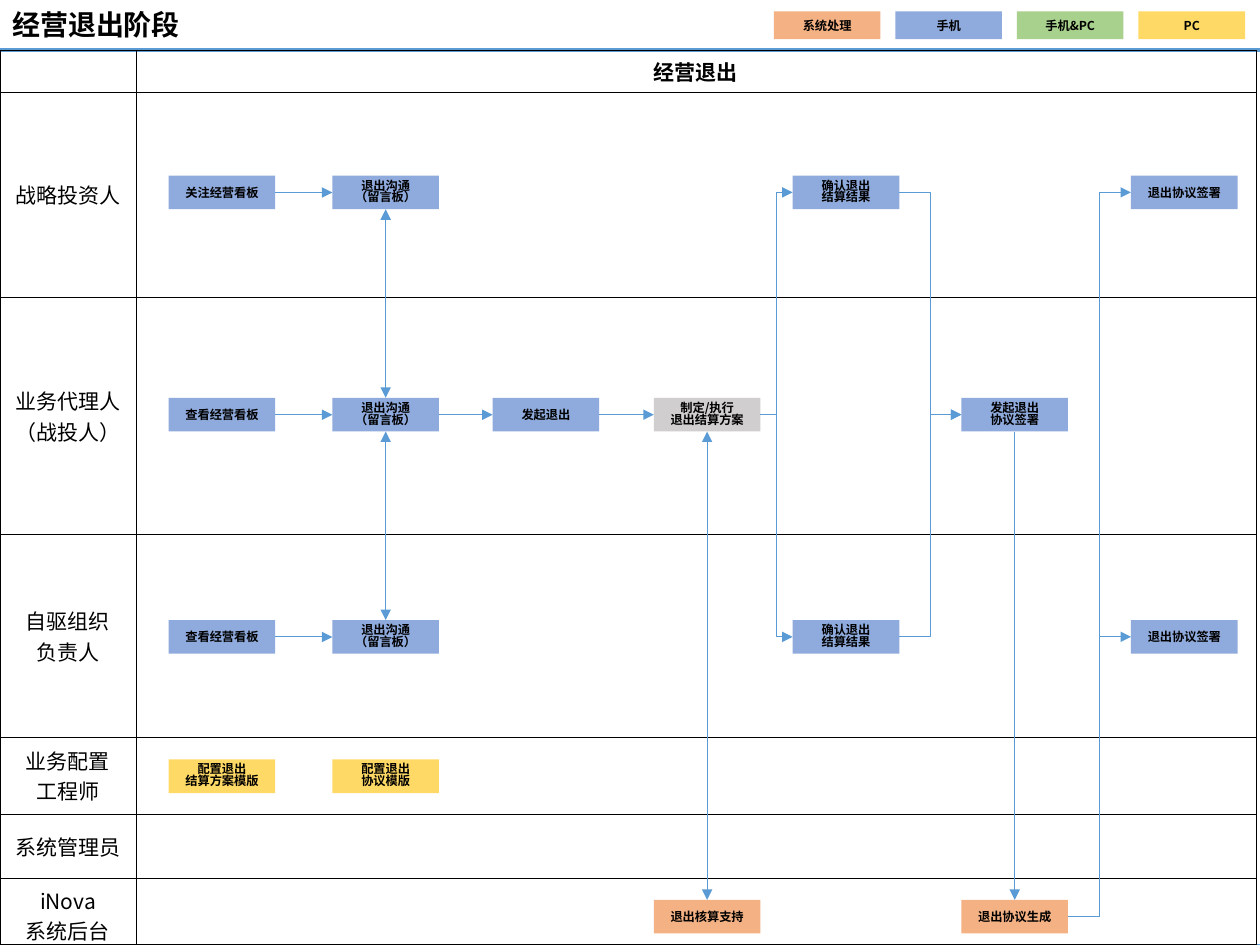
from lxml.etree import SubElement
from pptx import Presentation
from pptx.dml.color import RGBColor
from pptx.enum.shapes import MSO_CONNECTOR, MSO_SHAPE
from pptx.enum.text import MSO_ANCHOR, PP_ALIGN
from pptx.oxml.ns import qn
from pptx.util import Cm, Pt

FONT = "Noto Sans CJK SC"
BLACK = RGBColor(0x00, 0x00, 0x00)
BLUE = RGBColor(0x8F, 0xAA, 0xDC)
GREEN = RGBColor(0xA9, 0xD1, 0x8E)
YELLOW = RGBColor(0xFF, 0xD9, 0x66)
ORANGE = RGBColor(0xF4, 0xB1, 0x83)
GRAY = RGBColor(0xD0, 0xCE, 0xCE)
LINE = RGBColor(0x5B, 0x9B, 0xD5)


def write(frame, text, size, bold, align=PP_ALIGN.CENTER, space=None):
    frame.text = text
    for par in frame.paragraphs:
        par.alignment = align
        par.line_spacing = space
        for run in par.runs:
            run.font.size = Pt(size)
            run.font.bold = bold
            run.font.color.rgb = BLACK
            run.font.name = FONT
            SubElement(run.font._element, qn("a:ea"), typeface=FONT)
        if not par.runs:
            SubElement(par._p, qn("a:endParaRPr"), sz=str(size * 100))


def add_box(text, left, top, high, color):
    box = slide.shapes.add_shape(
        MSO_SHAPE.RECTANGLE, Cm(left), Cm(top), Cm(2.15), Cm(high))
    box.shadow.inherit = False
    box.fill.solid()
    box.fill.fore_color.rgb = color
    box.line.fill.background()
    frame = box.text_frame
    frame.margin_left = frame.margin_right = 0
    frame.margin_top = frame.margin_bottom = 0
    frame.word_wrap = True
    frame.vertical_anchor = MSO_ANCHOR.MIDDLE
    write(frame, text, 7, True, space=0.8 if "\n" in text else None)
    return box


deck = Presentation()
deck.slide_width = Cm(25.4)
deck.slide_height = Cm(19.05)
slide = deck.slides.add_slide(deck.slide_layouts[6])

title = slide.shapes.add_textbox(0, Cm(0.03), Cm(5.3), Cm(1))
title.text_frame.word_wrap = True
title.text_frame.vertical_anchor = MSO_ANCHOR.MIDDLE
write(title.text_frame, "经营退出阶段", 16, True, PP_ALIGN.LEFT, 0.9)

lanes = [
    ("", 0.84), ("战略投资人", 4.14), ("业务代理人\n（战投人）", 4.78),
    ("自驱组织\n负责人", 4.09), ("业务配置\n工程师", 1.55),
    ("系统管理员", 1.3), ("iNova\n系统后台", 1.33),
]
tables = [
    (-0.05, [25.48], [18.06], LINE, 2.25),
    (0, [2.74, 22.58], [high for name, high in lanes], BLACK, 0.25),
]
for left, wides, highs, color, width in tables:
    grid = slide.shapes.add_table(
        len(highs), len(wides), Cm(left), Cm(1.01),
        Cm(sum(wides)), Cm(sum(highs))).table
    grid.first_row = False
    grid.horz_banding = False
    for col, wide in zip(grid.columns, wides):
        col.width = Cm(wide)
    for row, high in zip(grid.rows, highs):
        row.height = Cm(high)
    for cell in grid.iter_cells():
        cell.vertical_anchor = MSO_ANCHOR.MIDDLE
        props = cell._tc.get_or_add_tcPr()
        for side in ("lnL", "lnR", "lnT", "lnB"):
            edge = SubElement(props, qn("a:" + side), w=str(Pt(width)))
            fill = SubElement(edge, qn("a:solidFill"))
            SubElement(fill, qn("a:srgbClr"), val=str(color))
        cell.fill.background()
        write(cell.text_frame, "", 12, False)

for row, (name, high) in enumerate(lanes[1:], 1):
    write(grid.cell(row, 0).text_frame, name, 12, False)
write(grid.cell(0, 1).text_frame, "经营退出", 12, True)

legend = [("系统处理", ORANGE), ("手机", BLUE), ("手机&PC", GREEN), ("PC", YELLOW)]
for i, (name, color) in enumerate(legend):
    add_box(name, 15.6 + 2.45 * i, 0.23, 0.56, color)

lefts = [3.4, 6.7, 9.93, 13.18, 15.98, 19.38, 22.8]
mids = [3.88, 8.36, 12.84, 15.65, 18.48]
steps = [
    (0, 0, "关注经营看板", BLUE), (0, 1, "查看经营看板", BLUE),
    (0, 2, "查看经营看板", BLUE), (0, 3, "配置退出\n结算方案模版", YELLOW),
    (1, 0, "退出沟通\n（留言板）", BLUE), (1, 1, "退出沟通\n（留言板）", BLUE),
    (1, 2, "退出沟通\n（留言板）", BLUE), (1, 3, "配置退出\n协议模版", YELLOW),
    (2, 1, "发起退出", BLUE), (3, 1, "制定/执行\n退出结算方案", GRAY),
    (3, 4, "退出核算支持", ORANGE), (4, 0, "确认退出\n结算结果", BLUE),
    (4, 2, "确认退出\n结算结果", BLUE), (5, 1, "发起退出\n协议签署", BLUE),
    (5, 4, "退出协议生成", ORANGE), (6, 0, "退出协议签署", BLUE),
    (6, 2, "退出协议签署", BLUE),
]
boxes = {}
for col, row, text, color in steps:
    boxes[col, row] = add_box(text, lefts[col], mids[row] - 0.34, 0.68, color)

TOP, LEFT, BOTTOM, RIGHT = range(4)
links = [
    ((0, 0), (1, 0)), ((0, 1), (1, 1)), ((0, 2), (1, 2)),
    ((1, 1), (1, 0)), ((1, 2), (1, 1)), ((1, 1), (2, 1)),
    ((2, 1), (3, 1)), ((3, 1), (3, 4)), ((3, 1), (4, 0)),
    ((3, 1), (4, 2)), ((4, 0), (5, 1)), ((4, 2), (5, 1)),
    ((5, 1), (5, 4)), ((5, 4), (6, 0)), ((5, 4), (6, 2)),
]
for start, end in links:
    if start[0] != end[0]:
        sites = RIGHT, LEFT
    elif start[1] > end[1]:
        sites = TOP, BOTTOM
    else:
        sites = BOTTOM, TOP
    bent = start[0] != end[0] and start[1] != end[1]
    kind = MSO_CONNECTOR.ELBOW if bent else MSO_CONNECTOR.STRAIGHT
    link = slide.shapes.add_connector(kind, 0, 0, 0, 0)
    link.begin_connect(boxes[start], sites[0])
    link.end_connect(boxes[end], sites[1])
    link.line.color.rgb = LINE
    link.line.width = Pt(0.5)
    props = link._element.spPr
    edge = props.find(qn("a:ln"))
    if start[0] == end[0] and start[0] != 5:
        SubElement(edge, qn("a:headEnd"), type="triangle")
    SubElement(edge, qn("a:tailEnd"), type="triangle")
    SubElement(props, qn("a:effectLst"))

deck.save("out.pptx")
